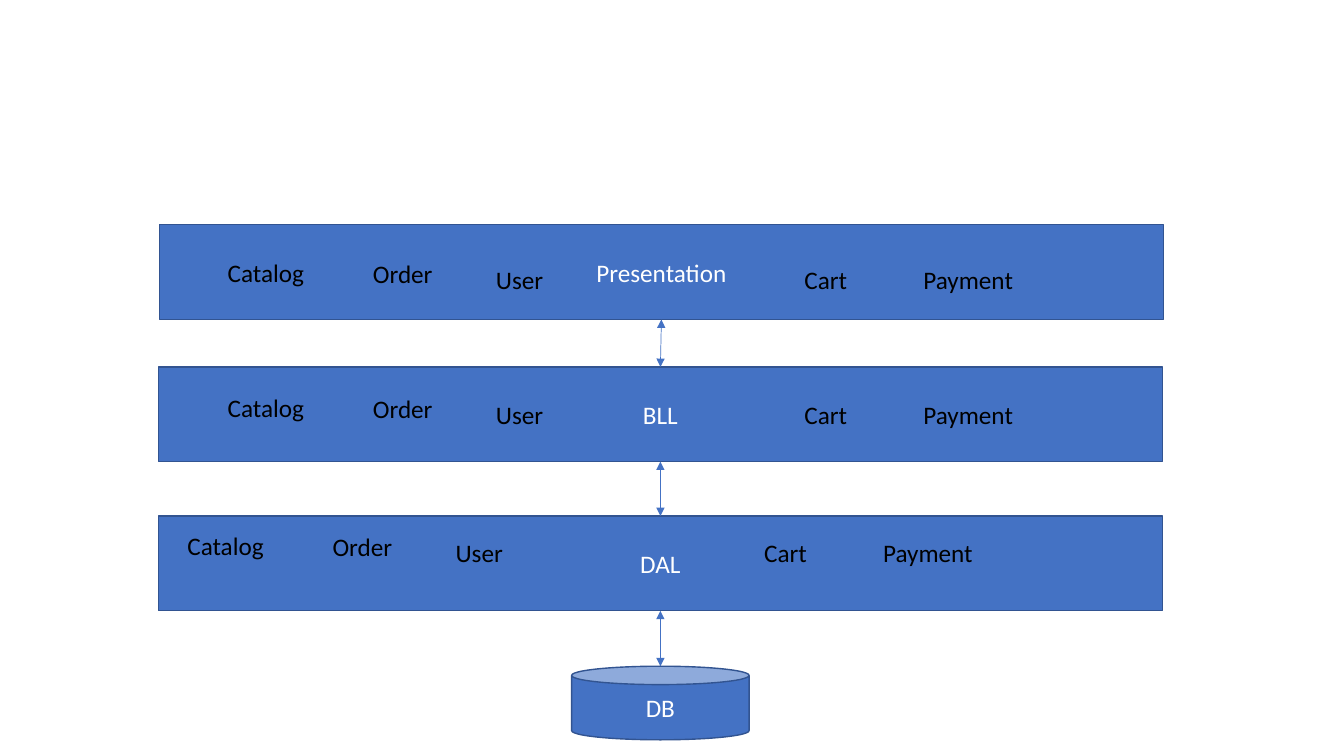
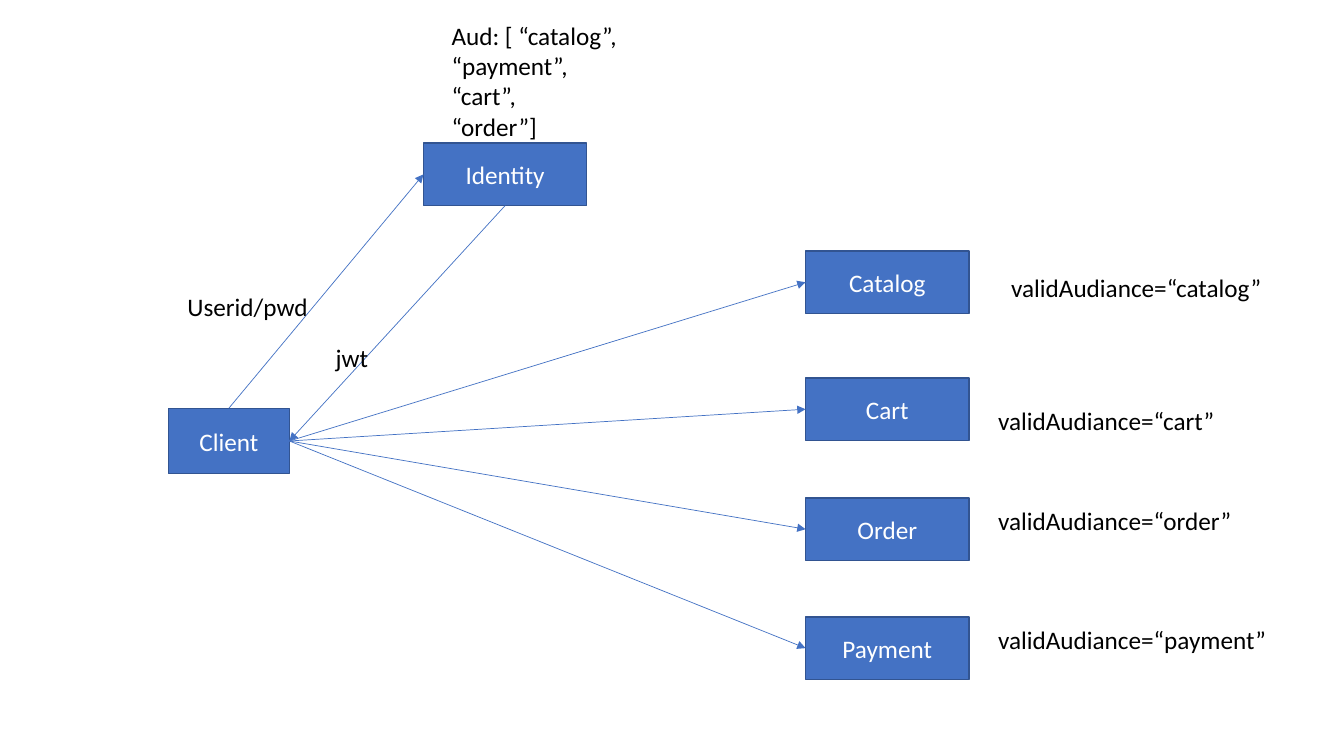
import pptx
import pptx.util
import pptx.dml.color
import pptx.enum.shapes
import pptx.enum.text
from lxml import etree

Inches, Pt = pptx.util.Inches, pptx.util.Pt
SHAPE = pptx.enum.shapes.MSO_SHAPE
BLUE, EDGE, WHITE, BLACK = "4472C4", "325491", "FFFFFF", "000000"
FONT, SIZE = "Calibri", 18
TOP, LEFT, BOTTOM, RIGHT = range(4)  # connection sites of a rectangle

# Layers: name, left, top, first label's left and top
LAYERS = [
    ("Presentation", 1.58, 2.23, 2.16, 2.50),
    ("BLL", 1.57, 3.64, 2.16, 3.84),
    ("DAL", 1.57, 5.12, 1.76, 5.21),
]
BAND_W, BAND_H = 9.96, 0.94
# Modules: name, offset from the first label
MODULES = [
    ("Catalog", 0, 0),
    ("Order", 1.44, 0.01),
    ("User", 2.66, 0.07),
    ("Cart", 5.72, 0.07),
    ("Payment", 6.90, 0.07),
]
DATABASE = ("DB", 5.67, 6.61, 1.76, 0.73)

# Services: name, top, left and top of its audience label
SERVICES = [
    ("Catalog", 2.49, 9.93, 2.65),
    ("Cart", 3.75, 9.80, 3.97),
    ("Order", 4.94, 9.80, 4.96),
    ("Payment", 6.12, 9.80, 6.14),
]
SERVICE_X, SERVICE_W, SERVICE_H = 7.99, 1.62, 0.62
NOTES = [
    ("Userid/pwd", 1.76, 2.84, 1.61, 0.4),
    ("jwt", 3.23, 3.35, 0.86, 0.4),
    ("Aud: [ “catalog”, “payment”,\n“cart”,\n“order”]", 4.38, 0.15, 2.49, 1.31),
]


def rgb(color):
    return pptx.dml.color.RGBColor.from_string(color)


def write(sp, text, color, align):
    tf = sp.text_frame
    tf.word_wrap = True
    tf.text = text
    for p in tf.paragraphs:
        p.alignment = align
        for r in p.runs:
            r.font.name, r.font.size = FONT, Pt(SIZE)
            r.font.color.rgb = rgb(color)


def add_node(slide, text, x, y, w, h, kind=SHAPE.RECTANGLE):
    sp = slide.shapes.add_shape(kind, Inches(x), Inches(y), Inches(w), Inches(h))
    sp.shadow.inherit = False
    sp.fill.solid()
    sp.fill.fore_color.rgb = rgb(BLUE)
    sp.line.color.rgb = rgb(EDGE)
    sp.line.width = Pt(1)
    sp.text_frame.vertical_anchor = pptx.enum.text.MSO_ANCHOR.MIDDLE
    write(sp, text, WHITE, pptx.enum.text.PP_ALIGN.CENTER)
    return sp


def add_label(slide, text, x, y, w, h=0.4):
    sp = slide.shapes.add_textbox(Inches(x), Inches(y), Inches(w), Inches(h))
    write(sp, text, BLACK, pptx.enum.text.PP_ALIGN.LEFT)


def add_arrow(slide, start, end, start_site, end_site=None, both=False):
    """Link two nodes; without an end site, stop at the middle of the end's top."""
    x, y = end.left + end.width // 2, end.top
    line = slide.shapes.add_connector(
        pptx.enum.shapes.MSO_CONNECTOR.STRAIGHT, x, y, x, y)
    line.begin_connect(start, start_site)
    if end_site is not None:
        line.end_connect(end, end_site)
    line.line.color.rgb = rgb(BLUE)
    line.line.width = Pt(0.5)
    ln = line.line._get_or_add_ln()
    for tag in ("a:headEnd", "a:tailEnd") if both else ("a:tailEnd",):
        etree.SubElement(ln, pptx.oxml.ns.qn(tag), type="triangle")
    etree.SubElement(line._element.spPr, pptx.oxml.ns.qn("a:effectLst"))


def build_layers(slide):
    bands = [add_node(slide, name, x, y, BAND_W, BAND_H)
             for name, x, y, _, _ in LAYERS]
    database = add_node(slide, *DATABASE, kind=SHAPE.CAN)
    for upper, lower in zip(bands, bands[1:]):
        add_arrow(slide, upper, lower, BOTTOM, TOP, both=True)
    add_arrow(slide, bands[-1], database, BOTTOM, both=True)
    for _, _, _, x, y in LAYERS:
        for module, dx, dy in MODULES:
            add_label(slide, module, x + dx, y + dy, 1.22)


def build_token_flow(slide):
    client = add_node(slide, "Client", 1.67, 4.05, 1.2, 0.65)
    identity = add_node(slide, "Identity", 4.2, 1.42, SERVICE_W, SERVICE_H)
    add_arrow(slide, client, identity, TOP, LEFT)
    add_arrow(slide, identity, client, BOTTOM, RIGHT)
    for name, y, label_x, label_y in SERVICES:
        service = add_node(slide, name, SERVICE_X, y, SERVICE_W, SERVICE_H)
        add_arrow(slide, client, service, RIGHT, LEFT)
        add_label(slide, f"validAudiance=“{name.lower()}”", label_x, label_y, 3.19)
    for note in NOTES:
        add_label(slide, *note)


def main():
    prs = pptx.Presentation()
    prs.slide_width, prs.slide_height = Inches(13.33), Inches(7.5)
    for build in (build_layers, build_token_flow):
        build(prs.slides.add_slide(prs.slide_layouts[6]))
    prs.save("out.pptx")


if __name__ == "__main__":
    main()
